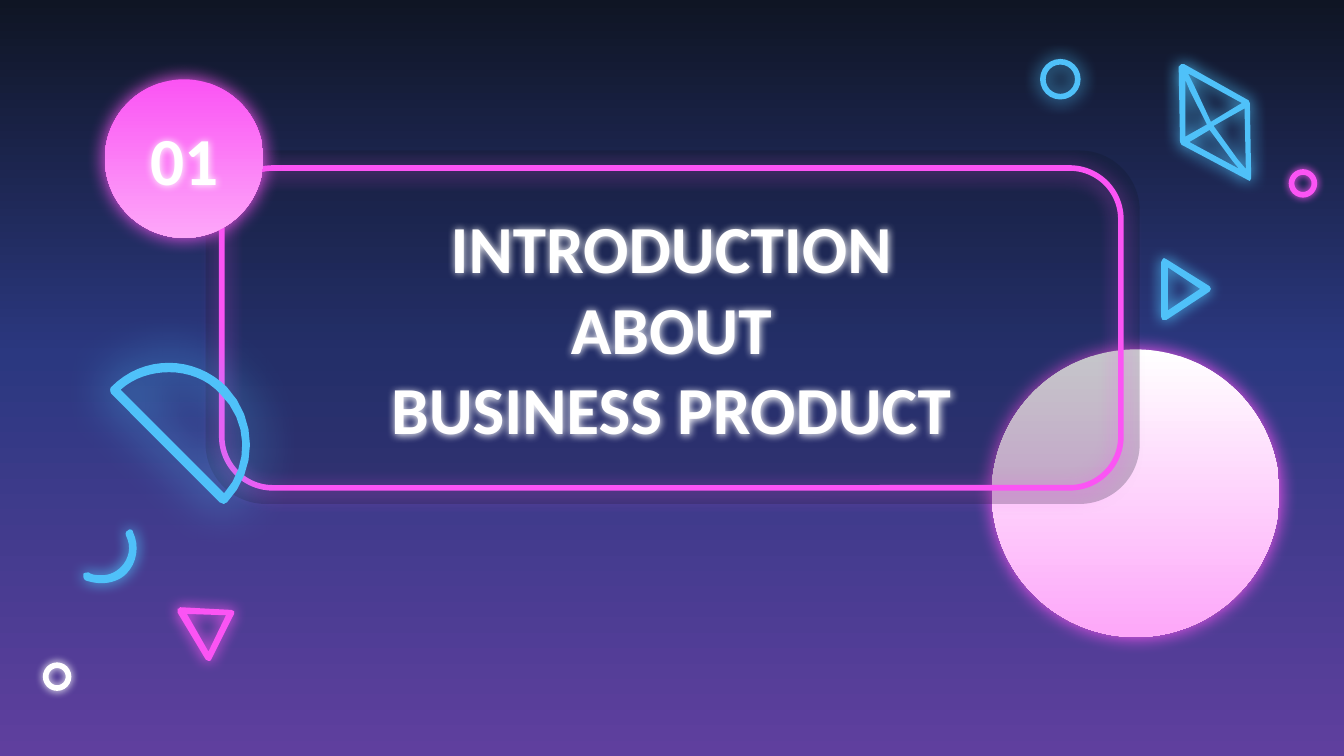
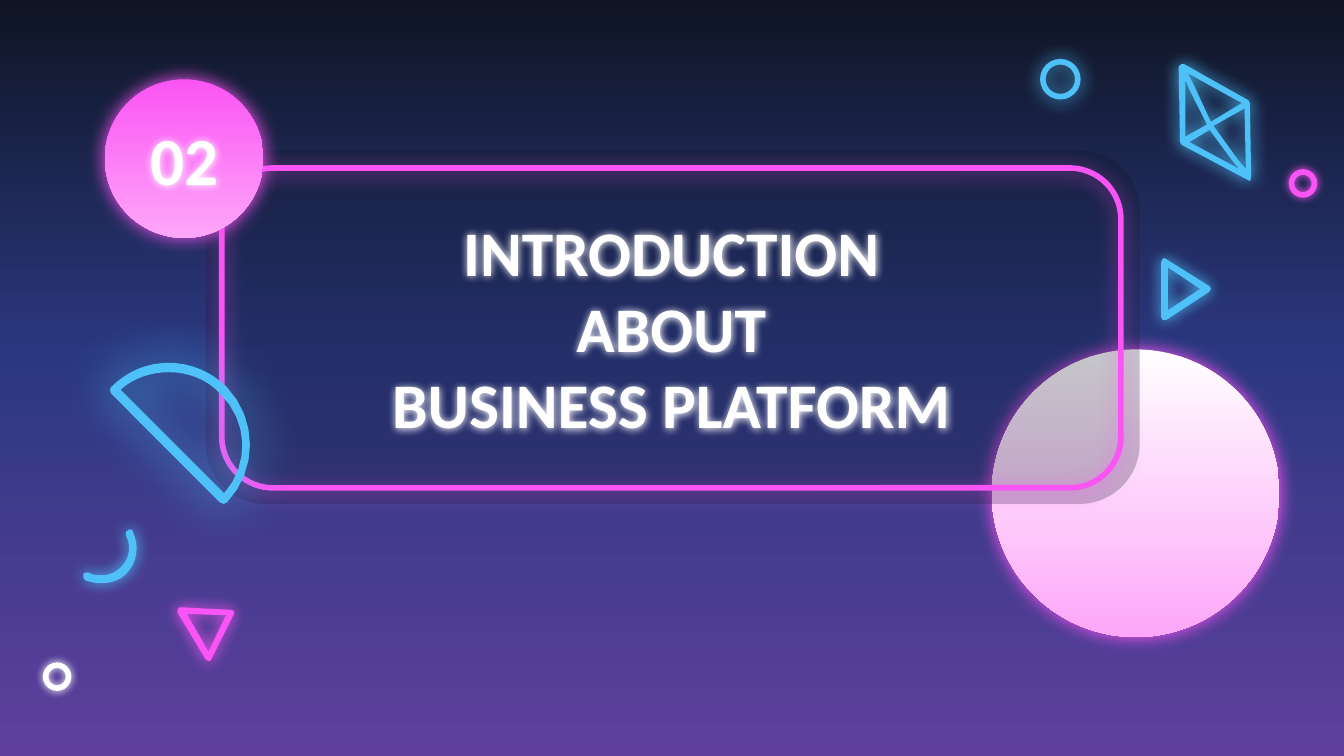
"""Build two neon section slides that share one decorated frame."""
from copy import deepcopy
from math import cos, radians, sin

from pptx import Presentation
from pptx.dml.color import RGBColor
from pptx.enum.shapes import MSO_SHAPE as SHAPE
from pptx.enum.text import MSO_ANCHOR as ANCHOR, PP_ALIGN as ALIGN
from pptx.oxml.ns import qn
from pptx.util import Inches, Pt
from lxml.etree import SubElement

NIGHT = RGBColor(0x0F, 0x15, 0x24)
NAVY = RGBColor(0x2B, 0x38, 0x80)
PURPLE = RGBColor(0x5F, 0x3F, 0x9E)
PINK = RGBColor(0xFB, 0x54, 0xF4)
ROSE = RGBColor(0xFD, 0xA7, 0xF9)
SKY = RGBColor(0x4F, 0xC1, 0xF9)
WHITE = RGBColor(0xFF, 0xFF, 0xFF)

SECTIONS = [
    ("01", ["INTRODUCTION", "ABOUT", "BUSINESS PRODUCT"], 36),
    ("02", ["INTRODUCTION", "ABOUT", "BUSINESS PLATFORM"], 34),
]

BACKDROP = [(0, NIGHT), (0.47, NAVY), (1, PURPLE)]
MOON = (7.38, 2.6, 2.14, 2.14)
BADGE = (0.78, 0.59, 1.18, 1.18)
PANEL = (1.53, 1.12, 6.95, 2.63)
FRAME = (1.65, 1.25, 6.69, 2.38)
TITLE = (1.48, 1.52, 7.03, 1.83)
NUMBER = (0.77, 0.83, 1.2, 0.7)

RINGS = [
    ((7.76, 0.46, 0.26, 0.26), SKY, 10.1),
    ((0.34, 4.95, 0.17, 0.17), WHITE, 4.5),
    ((9.61, 1.28, 0.17, 0.17), PINK, 4.5),
]

HALF_DISC = [
    [(1.26, 2.77), (1.4, 2.77, 1.54, 2.82, 1.64, 2.93),
     (1.85, 3.13, 1.86, 3.46, 1.67, 3.67), (0.9, 2.9),
     (1, 2.81, 1.13, 2.77, 1.26, 2.77)],
    [(1.26, 2.7), (1.1, 2.7, 0.95, 2.76, 0.83, 2.88),
     (0.82, 2.89, 0.82, 2.91, 0.83, 2.93), (1.64, 3.74),
     (1.65, 3.74, 1.66, 3.75, 1.67, 3.75),
     (1.67, 3.75, 1.68, 3.74, 1.69, 3.74),
     (1.92, 3.5, 1.92, 3.12, 1.69, 2.88),
     (1.57, 2.76, 1.41, 2.7, 1.26, 2.7)],
]
CRYSTAL = [
    [(8.84, 0.55), (9.24, 0.77), (9.01, 0.91), (8.88, 0.63)],
    [(8.82, 0.6), (8.85, 0.67), (8.98, 0.93), (8.82, 1.02)],
    [(9, 0.97), (9.17, 1.2), (9.22, 1.26), (8.85, 1.06)],
    [(9.26, 0.81), (9.27, 1.26), (9.21, 1.19), (9.03, 0.94)],
    [(8.78, 0.49), (8.77, 0.5), (8.78, 1.06), (8.79, 1.08), (9.28, 1.34),
     (9.3, 1.35), (9.31, 1.33), (9.3, 0.77), (9.29, 0.75), (8.81, 0.48),
     (8.79, 0.48)],
]
PLAY = [
    [(8.69, 1.99), (8.93, 2.15), (8.69, 2.31)],
    [(8.66, 1.92), (8.65, 1.93), (8.64, 1.95), (8.64, 2.36), (8.65, 2.38),
     (8.66, 2.38), (8.68, 2.38), (9, 2.17), (9.01, 2.15), (9, 2.13),
     (8.68, 1.93)],
]
ARC = [
    [(0.97, 3.94), (0.96, 3.94, 0.96, 3.94, 0.95, 3.95),
     (0.94, 3.95, 0.93, 3.97, 0.94, 3.99),
     (0.98, 4.07, 0.96, 4.16, 0.9, 4.22),
     (0.86, 4.26, 0.81, 4.28, 0.76, 4.28),
     (0.72, 4.28, 0.69, 4.28, 0.66, 4.26),
     (0.65, 4.26, 0.63, 4.26, 0.62, 4.27),
     (0.62, 4.29, 0.62, 4.31, 0.64, 4.32),
     (0.67, 4.33, 0.72, 4.34, 0.75, 4.34),
     (0.82, 4.34, 0.89, 4.32, 0.94, 4.27),
     (1.02, 4.19, 1.04, 4.06, 0.99, 3.96),
     (0.99, 3.95, 0.98, 3.94, 0.97, 3.94)],
]
TRIANGLE = [
    [(1.39, 4.57), (1.68, 4.58), (1.55, 4.85)],
    [(1.33, 4.53), (1.32, 4.53), (1.32, 4.56), (1.53, 4.91), (1.55, 4.92),
     (1.56, 4.92), (1.57, 4.91), (1.74, 4.57), (1.74, 4.55), (1.72, 4.54),
     (1.34, 4.52)],
]
OUTLINES = [
    (HALF_DISC, (0.82, 2.7, 1.11, 1.04), 0, SKY, 27),
    (CRYSTAL, (8.74, 0.41, 0.6, 1), 328.9, SKY, 9),
    (PLAY, (8.64, 1.92, 0.37, 0.46), 0, SKY, 7.9),
    (ARC, (0.62, 3.94, 0.43, 0.4), 0, SKY, 7.9),
    (TRIANGLE, (1.4, 4.41, 0.37, 0.46), 329.4, PINK, 7.9),
]


def inches(values):
    return [Inches(v) for v in values]


def gradient(fill, element, stops):
    fill.gradient()
    fill.gradient_angle = 270
    gs_list = next(element.iter(qn("a:gsLst")))
    while len(gs_list) < len(stops):
        gs_list.append(deepcopy(gs_list[-1]))
    for stop, (position, color) in zip(fill.gradient_stops, stops):
        stop.position = position
        stop.color.rgb = color


def set_alpha(clr, percent):
    SubElement(clr, qn("a:alpha"), val=str(percent * 1000))


def shadow(sp, color, blur, alpha=100, dist=0, angle=0):
    sp.shadow.inherit = False
    effects = sp.element.spPr.find(qn("a:effectLst"))
    node = SubElement(effects, qn("a:outerShdw"), blurRad=str(Pt(blur)),
                      dist=str(Pt(dist)), dir=str(angle * 60000),
                      algn="bl", rotWithShape="0")
    set_alpha(SubElement(node, qn("a:srgbClr"), val=str(color)), alpha)


def add_shape(shapes, kind, box, fill=None, line=None, adj=None):
    sp = shapes.add_shape(kind, *inches(box))
    sp.shadow.inherit = False
    if adj is not None:
        sp.adjustments[0] = adj
    if isinstance(fill, list):
        gradient(sp.fill, sp.element, fill)
    elif fill is not None:
        sp.fill.solid()
        sp.fill.fore_color.rgb = fill
    else:
        sp.fill.background()
    if line is not None:
        sp.line.color.rgb = line
        sp.line.width = Pt(3)
    else:
        sp.line.fill.background()
    return sp


def add_text(slide, box, lines, size=36, color=WHITE, font="Calibri", bold=True):
    sp = slide.shapes.add_textbox(*inches(box))
    shadow(sp, color, 4.5)
    tf = sp.text_frame
    tf.word_wrap = True
    tf.vertical_anchor = ANCHOR.MIDDLE
    tf.margin_left = tf.margin_right = Inches(0.1)
    tf.margin_top = tf.margin_bottom = Inches(0.1)
    for i, line in enumerate(lines):
        p = tf.paragraphs[0] if i == 0 else tf.add_paragraph()
        p.alignment = ALIGN.CENTER
        r = p.add_run()
        r.text = line
        r.font.name, r.font.size, r.font.bold = font, Pt(size), bold
        r.font.color.rgb = color


def flatten(contour, steps=8):
    points = [contour[0]]
    for seg in contour[1:]:
        if len(seg) == 2:
            points.append(seg)
            continue
        x0, y0 = points[-1]
        x1, y1, x2, y2, x3, y3 = seg
        for i in range(1, steps + 1):
            t = i / steps
            a, b, c, d = (1 - t) ** 3, 3 * t * (1 - t) ** 2, 3 * t * t * (1 - t), t ** 3
            points.append((a * x0 + b * x1 + c * x2 + d * x3,
                           a * y0 + b * y1 + c * y2 + d * y3))
    return points


def turn(point, center, degrees):
    dx, dy = point[0] - center[0], point[1] - center[1]
    c, s = cos(radians(degrees)), sin(radians(degrees))
    return center[0] + dx * c - dy * s, center[1] + dx * s + dy * c


def add_outline(slide, contours, box, rotation, color, blur):
    left, top, width, height = box
    center = left + width / 2, top + height / 2
    builder = None
    for contour in contours:
        points = [inches(turn(pt, center, -rotation)) for pt in flatten(contour)]
        if builder is None:
            builder = slide.shapes.build_freeform(*points[0])
        else:
            builder.move_to(*points[0])
        builder.add_line_segments(points[1:], close=True)
    sp = builder.convert_to_shape()
    sp.left, sp.top, sp.width, sp.height = inches(box)
    outline = next(sp.element.iter(qn("a:path")))
    outline.set("w", str(sp.width))
    outline.set("h", str(sp.height))
    sp.rotation = rotation
    sp.fill.solid()
    sp.fill.fore_color.rgb = color
    sp.line.fill.background()
    shadow(sp, color, blur)


def add_disc(slide, box, stops):
    shadow(add_shape(slide.shapes, SHAPE.OVAL, box, fill=stops), PINK, 10.1)


def add_panel(slide):
    group = slide.shapes.add_group_shape().shapes
    panel = add_shape(group, SHAPE.ROUNDED_RECTANGLE, PANEL, fill=NIGHT, adj=0.17)
    set_alpha(next(panel.element.spPr.iter(qn("a:srgbClr"))), 24)
    frame = add_shape(group, SHAPE.ROUNDED_RECTANGLE, FRAME, line=PINK, adj=0.16)
    shadow(frame, PINK, 11.2, alpha=62, dist=1.5, angle=90)


def add_section(prs, number, title, size):
    slide = prs.slides.add_slide(prs.slide_layouts[6])
    gradient(slide.background.fill, slide.element, BACKDROP)
    add_disc(slide, MOON, [(0, WHITE), (1, ROSE)])
    add_panel(slide)
    add_text(slide, TITLE, title, size=size)
    add_disc(slide, BADGE, [(0, PINK), (1, ROSE)])
    add_text(slide, NUMBER, [number])
    for outline in OUTLINES:
        add_outline(slide, *outline)
    for box, color, blur in RINGS:
        shadow(add_shape(slide.shapes, SHAPE.OVAL, box, line=color), color, blur)


def main():
    prs = Presentation()
    prs.slide_width = Inches(10)
    prs.slide_height = prs.slide_width * 9 // 16
    for section in SECTIONS:
        add_section(prs, *section)
    prs.save("out.pptx")


if __name__ == "__main__":
    main()
